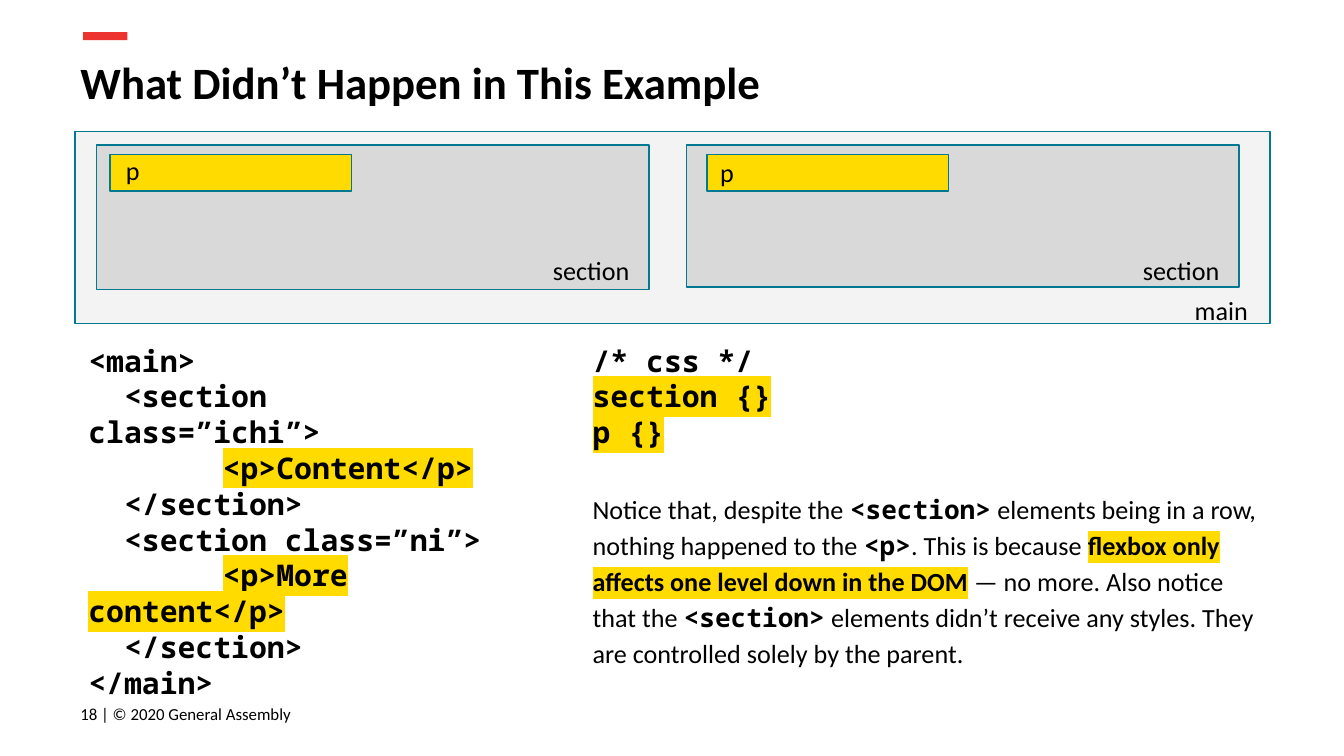
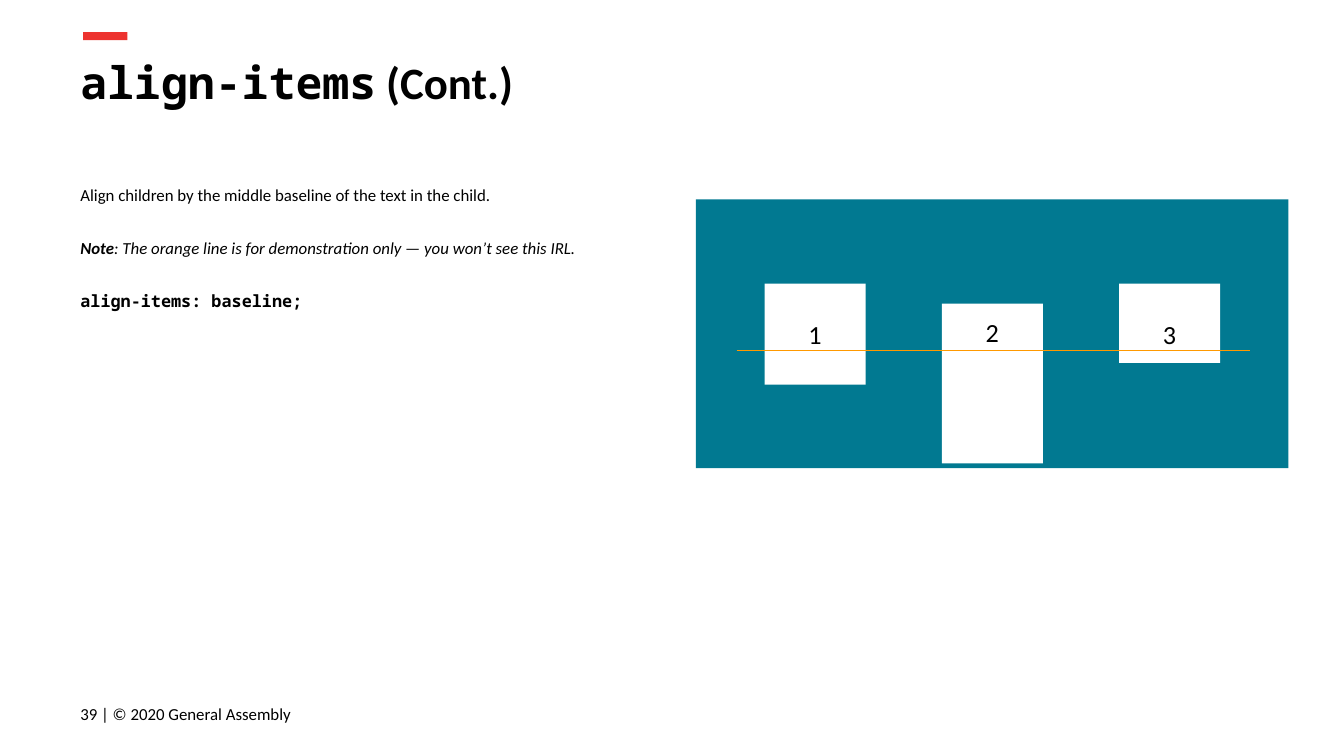
from lxml import etree
from pptx import Presentation
from pptx.dml.color import RGBColor
from pptx.enum.shapes import MSO_CONNECTOR, MSO_SHAPE
from pptx.enum.text import MSO_ANCHOR, MSO_AUTO_SIZE, PP_ALIGN
from pptx.oxml.ns import qn
from pptx.util import Cm, Pt

RECT = MSO_SHAPE.RECTANGLE
STRAIGHT = MSO_CONNECTOR.STRAIGHT
TOP, MIDDLE, BOTTOM = MSO_ANCHOR.TOP, MSO_ANCHOR.MIDDLE, MSO_ANCHOR.BOTTOM
LEFT, CENTER = PP_ALIGN.LEFT, PP_ALIGN.CENTER
NO_FIT = MSO_AUTO_SIZE.NONE

SANS, MONO = "Calibri", "Noto Sans Mono"
BLACK, WHITE, RED, TEAL = "000000", "FFFFFF", "ED332F", "017991"
YELLOW, ORANGE, PALE, GREY = "FFDB00", "FF9900", "F3F3F3", "D9D9D9"
INSET = 0.25
TITLE_ONLY = 5

CODE = {"font": MONO, "bold": True}
MARK = {"mark": YELLOW}


def rgb(value):
    return RGBColor.from_string(value)


def highlight(r, color):
    """Put a highlight right after the run's fill, where the schema wants it."""
    mark = etree.Element(qn("a:highlight"))
    etree.SubElement(mark, qn("a:srgbClr")).set("val", color)
    r.font._element.find(qn("a:solidFill")).addnext(mark)


def add_tab_stop(p, position):
    tabs = etree.SubElement(p._p.get_or_add_pPr(), qn("a:tabLst"))
    etree.SubElement(tabs, qn("a:tab"), pos=str(Cm(position)), algn="l")


def format_run(r, size=14, font=SANS, color=BLACK, bold=False, italic=False, mark=None):
    r.font.size, r.font.name = Pt(size), font
    r.font.bold, r.font.italic = bold, italic
    r.font.color.rgb = rgb(color)
    if mark:
        highlight(r, mark)


def write(tf, paragraphs, anchor=TOP, align=LEFT, spacing=None, gap=0, tab=None, **fmt):
    """Each paragraph is a list of runs: a string or a (string, format) pair."""
    tf.word_wrap, tf.auto_size, tf.vertical_anchor = True, NO_FIT, anchor
    tf.margin_left = tf.margin_right = tf.margin_top = tf.margin_bottom = Cm(INSET)
    for i, runs in enumerate(paragraphs):
        p = tf.add_paragraph() if i else tf.paragraphs[0]
        p.alignment = align
        if spacing:
            p.line_spacing = spacing
        if i and gap:
            p.space_before = Pt(gap)
        if tab:
            add_tab_stop(p, tab)
        for run in runs:
            text, own = (run, {}) if isinstance(run, str) else run
            r = p.add_run()
            r.text = text
            format_run(r, **{**fmt, **own})


def add_text(slide, box, paragraphs, **fmt):
    sp = slide.shapes.add_textbox(*map(Cm, box))
    write(sp.text_frame, paragraphs, **fmt)


def add_rect(slide, box, fill, line=None):
    sp = slide.shapes.add_shape(RECT, *map(Cm, box))
    sp.shadow.inherit = False
    sp.fill.solid()
    sp.fill.fore_color.rgb = rgb(fill)
    if line:
        sp.line.color.rgb, sp.line.width = rgb(line), Pt(0.75)
    else:
        sp.line.fill.background()
    return sp


def add_line(slide, start, end, color):
    line = slide.shapes.add_connector(STRAIGHT, *map(Cm, start + end))
    line.line.color.rgb, line.line.width = rgb(color), Pt(0.75)
    etree.SubElement(line._element.spPr, qn("a:effectLst"))


def add_slide(prs, title, number):
    """Slide with the red bar, title and footer that all slides share."""
    slide = prs.slides.add_slide(prs.slide_layouts[TITLE_ONLY])
    add_rect(slide, (1.57, 0.61, 0.84, 0.15), RED)
    sp = slide.shapes.title
    sp.left, sp.top, sp.width, sp.height = map(Cm, (1.27, 0.79, 23.67, 1.6))
    write(sp.text_frame, [title], size=24, bold=True)
    add_text(slide, (1.27, 12.95, 6.58, 1.09),
             [[f"{number} | © 2020 General Assembly"]], size=9, anchor=MIDDLE)
    return slide


def add_section(slide, box, p_left, label_left, label_top):
    x, y, w, h = box
    add_rect(slide, box, GREY, TEAL)
    add_rect(slide, (x + p_left, y + 0.18, 4.57, 0.69), YELLOW, TEAL)
    add_text(slide, (x + label_left, y + label_top, 0.76, 0.58), [["p"]], spacing=0.5)
    add_text(slide, (x + 8.37, y + 1.81, 2.21, 0.58), [["section"]])


def add_dom_diagram(slide, box):
    x, y, w, h = box
    add_rect(slide, box, PALE, TEAL)
    add_section(slide, (x + 0.41, y + 0.25, 10.44, 2.74), 0.25, 0.3, 0.18)
    add_section(slide, (x + 11.56, y + 0.25, 10.44, 2.69), 0.38, 0.38, 0.23)
    add_text(slide, (x + w - 1.67, y + 2.82, 1.68, 0.58), [["main"]])


def add_baseline_diagram(slide, box):
    x, y, w, h = box
    add_rect(slide, box, TEAL)
    cards = [(1.59, 1.91, MIDDLE), (1.97, 3.02, TOP), (1.59, 1.5, BOTTOM)]
    for i, (top, height, anchor) in enumerate(cards):
        sp = add_rect(slide, (x + 1.3 + 3.35 * i, y + top, 1.91, height), WHITE)
        write(sp.text_frame, [[str(i + 1)]], anchor=anchor, align=CENTER)
    add_line(slide, (x + 0.77, y + 2.86), (x + 10.47, y + 2.86), ORANGE)


def build_example_slide(prs):
    slide = add_slide(prs, ["What Didn’t Happen in This Example"], 18)
    add_text(slide, (10.95, 6.22, 8, 3.28),
             [["/* css */"], [("section {}", MARK)], [("p {}", MARK)]], size=16, **CODE)
    add_text(slide, (10.95, 8.99, 13.18, 3.45), [[
        "Notice that, despite the ", ("<section>", CODE),
        " elements being in a row, nothing happened to the ", ("<p>", CODE),
        ". This is because ",
        ("flexbox only affects one level down in the DOM", {"bold": True, **MARK}),
        " — no more. Also notice that the ", ("<section>", CODE),
        " elements didn’t receive any styles. They are controlled solely by the parent.",
    ]], spacing=1.15)
    add_text(slide, (1.42, 6.22, 8, 6.73), [
        ["<main>"],
        ["  <section class=”ichi”>"],
        ["\t", ("<p>Content</p>", MARK)],
        ["  </section>"],
        ["  <section class=”ni”>"],
        ["\t", ("<p>More content</p>", MARK)],
        ["  </section>"],
        ["</main>"],
    ], size=16, tab=2.54, **CODE)
    add_dom_diagram(slide, (1.42, 2.49, 22.58, 3.63))


def build_align_items_slide(prs):
    slide = add_slide(prs, [("align-items", CODE), " (Cont.)"], 39)
    add_text(slide, (1.27, 3.18, 10.49, 8.15), [
        ["Align children by the middle baseline of the text in the child."],
        [("Note", {"bold": True, "italic": True}),
         (": The orange line is for demonstration only — you won’t see this IRL.",
          {"italic": True})],
        [("align-items: baseline;", CODE)],
    ], size=9, spacing=1.15, gap=16)
    add_baseline_diagram(slide, (13.15, 3.77, 11.2, 5.08))


def main():
    prs = Presentation()
    prs.slide_width, prs.slide_height = Cm(25.4), Cm(14.29)
    build_example_slide(prs)
    build_align_items_slide(prs)
    prs.save("out.pptx")


if __name__ == "__main__":
    main()
